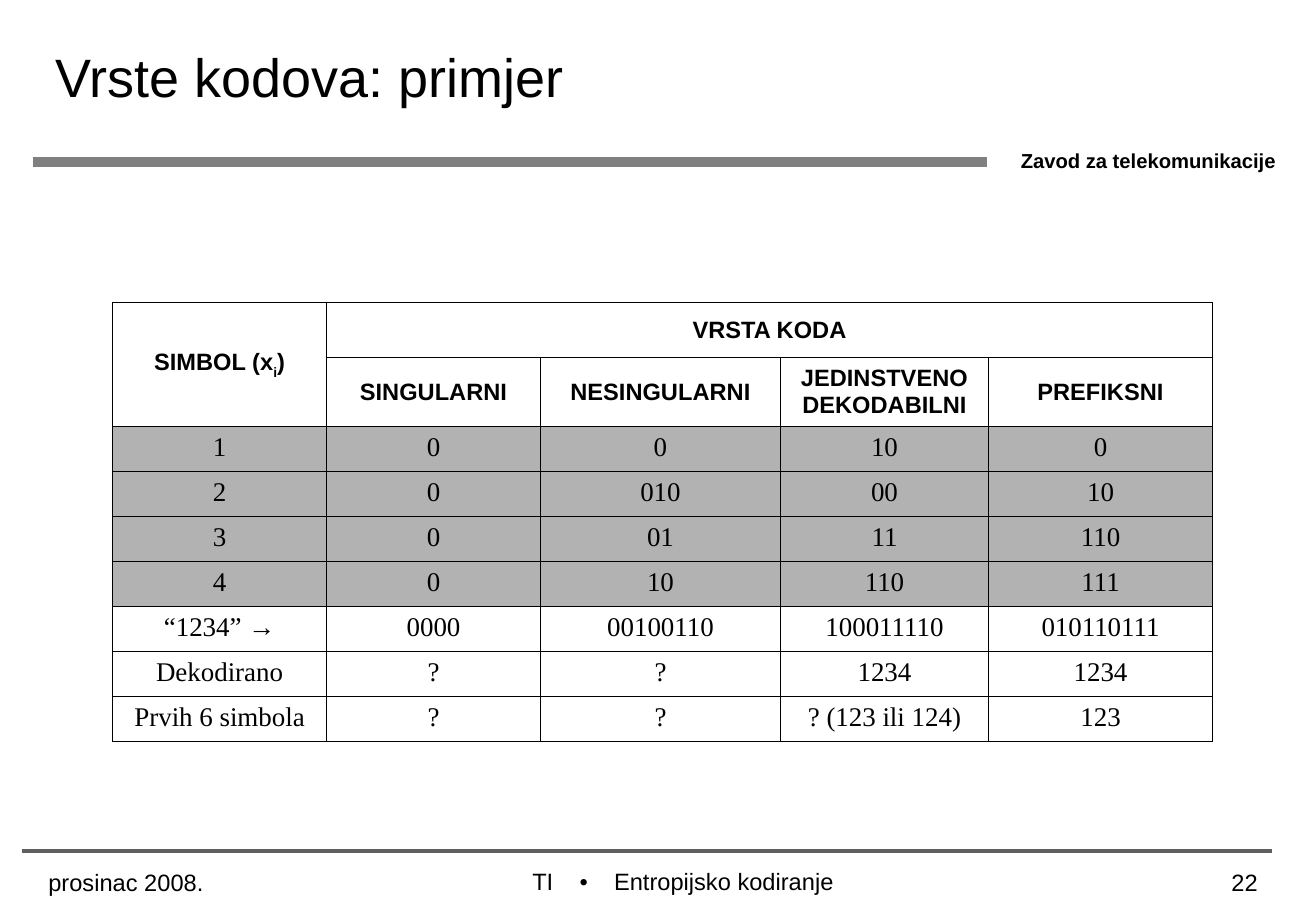
"""Build the slide comparing kinds of codes in one table."""
from lxml import etree
from pptx import Presentation
from pptx.dml.color import RGBColor
from pptx.enum.shapes import MSO_CONNECTOR
from pptx.enum.text import MSO_ANCHOR, PP_ALIGN
from pptx.oxml.ns import qn
from pptx.util import Pt

STRAIGHT = MSO_CONNECTOR.STRAIGHT
TOP, MIDDLE = MSO_ANCHOR.TOP, MSO_ANCHOR.MIDDLE
LEFT, CENTER, RIGHT = PP_ALIGN.LEFT, PP_ALIGN.CENTER, PP_ALIGN.RIGHT
BLACK = RGBColor(0x00, 0x00, 0x00)
HEADER_RULE = RGBColor(0x80, 0x80, 0x80)
FOOTER_RULE = RGBColor(0x5F, 0x5F, 0x5F)
SYMBOL_FILL = RGBColor(0xB2, 0xB2, 0xB2)
BORDER_WIDTH = Pt(0.45)
SANS, SERIF = "Arial", "Times New Roman"

COLUMN_WIDTHS = [126.9, 126.9, 142.3, 123.4, 132.9]
ROW_HEIGHTS = [32.4, 41] + [26.65] * 7
HEADER_ROWS = 2
SYMBOL_ROWS = range(2, 6)
CODE_TABLE = [
    ["SIMBOL (x", "VRSTA KODA", "", "", ""],
    ["", "SINGULARNI", "NESINGULARNI", "JEDINSTVENO DEKODABILNI", "PREFIKSNI"],
    ["1", "0", "0", "10", "0"],
    ["2", "0", "010", "00", "10"],
    ["3", "0", "01", "11", "110"],
    ["4", "0", "10", "110", "111"],
    ["“1234” →", "0000", "00100110", "100011110", "010110111"],
    ["Dekodirano", "?", "?", "1234", "1234"],
    ["Prvih 6 simbola", "?", "?", "? (123 ili 124)", "123"],
]


class SlideBuilder:
    """Holds the current slide and its text and line style."""

    def __init__(self, slide):
        self.slide = slide

    def run(self, paragraph, text, size, font=SANS, bold=False, baseline=0):
        run = paragraph.add_run()
        run.text = text
        run.font.name = font
        run.font.size = Pt(size)
        run.font.bold = bold
        run.font.color.rgb = BLACK
        if baseline:
            run._r.get_or_add_rPr().set("baseline", str(baseline * 1000))

    def text(self, left, top, width, height, text, size, align=LEFT,
             anchor=TOP, bold=False, inset=7.2, tabs=()):
        box = self.slide.shapes.add_textbox(Pt(left), Pt(top), Pt(width), Pt(height))
        frame = box.text_frame
        frame.word_wrap = True
        frame.vertical_anchor = anchor
        frame.margin_left = Pt(inset)
        paragraph = frame.paragraphs[0]
        paragraph.alignment = align
        if tabs:
            tab_list = etree.SubElement(paragraph._p.get_or_add_pPr(), qn("a:tabLst"))
            for position in tabs:
                etree.SubElement(tab_list, qn("a:tab"), pos=str(Pt(position)), algn="l")
        self.run(paragraph, text, size, bold=bold)

    def rule(self, left, right, y, color, width):
        line = self.slide.shapes.add_connector(STRAIGHT, Pt(left), Pt(y), Pt(right), Pt(y))
        line.line.color.rgb = color
        line.line.width = Pt(width)
        etree.SubElement(line._element.spPr, qn("a:effectLst"))

    def borders(self, cell):
        properties = cell._tc.get_or_add_tcPr()
        for side in ("a:lnL", "a:lnR", "a:lnT", "a:lnB"):
            line = etree.SubElement(properties, qn(side), w=str(BORDER_WIDTH))
            fill = etree.SubElement(line, qn("a:solidFill"))
            etree.SubElement(fill, qn("a:srgbClr"), val=str(BLACK))

    def cell(self, cell, text, header, color):
        self.borders(cell)
        if color is None:
            cell.fill.background()
        else:
            cell.fill.solid()
            cell.fill.fore_color.rgb = color
        cell.vertical_anchor = MIDDLE if header else TOP
        paragraph = cell.text_frame.paragraphs[0]
        paragraph.alignment = CENTER
        if text and header:
            self.run(paragraph, text, 14, bold=True)
        elif text:
            self.run(paragraph, text, 16, SERIF)

    def table(self, left, top, rows):
        frame = self.slide.shapes.add_table(
            len(rows), len(COLUMN_WIDTHS), Pt(left), Pt(top),
            Pt(sum(COLUMN_WIDTHS)), Pt(sum(ROW_HEIGHTS)))
        table = frame.table
        table.first_row = table.horz_banding = False
        for column, width in zip(table.columns, COLUMN_WIDTHS):
            column.width = Pt(width)
        for index, (row, height, texts) in enumerate(zip(table.rows, ROW_HEIGHTS, rows)):
            row.height = Pt(height)
            color = SYMBOL_FILL if index in SYMBOL_ROWS else None
            for cell, text in zip(row.cells, texts):
                self.cell(cell, text, index < HEADER_ROWS, color)
        return table


def main():
    presentation = Presentation()
    presentation.slide_width = Pt(780.48)
    presentation.slide_height = Pt(540)
    slide = presentation.slides.add_slide(presentation.slide_layouts[6])
    builder = SlideBuilder(slide)

    builder.rule(19.5, 585.5, 96, HEADER_RULE, 6)
    builder.text(598.3, 84.5, 182.18, 21.6, "Zavod za telekomunikacije", 12, bold=True)
    builder.rule(13, 754.2, 504.3, FOOTER_RULE, 2.25)
    builder.text(26, 0, 663, 90, "Vrste kodova: primjer", 32, anchor=MIDDLE)

    table = builder.table(66.8, 179.4, CODE_TABLE)
    symbol = table.cell(0, 0)
    symbol_paragraph = symbol.text_frame.paragraphs[0]
    builder.run(symbol_paragraph, "i", 14, bold=True, baseline=-30)
    builder.run(symbol_paragraph, ")", 14, bold=True)
    symbol.merge(table.cell(1, 0))
    table.cell(0, 1).merge(table.cell(0, 4))

    builder.text(180, 510.5, 450, 18, "TI\t•\tEntropijsko kodiranje", 14,
                 inset=135.7, tabs=(28, 48.5))
    builder.text(654.5, 511, 98.6, 29, "22", 14, RIGHT)
    builder.text(21.6, 511, 140.4, 29, "prosinac 2008.", 14)

    presentation.save("out.pptx")


if __name__ == "__main__":
    main()
